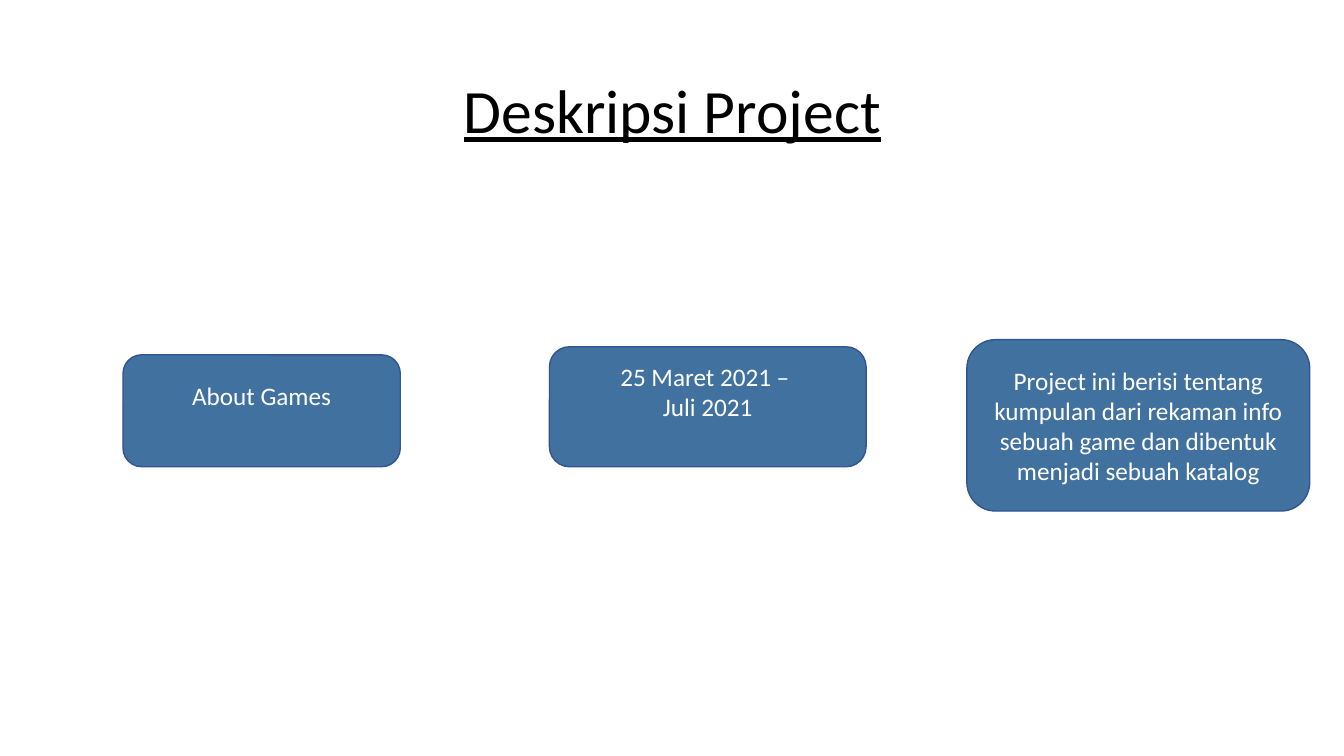
from pptx import Presentation
from pptx.dml.color import RGBColor
from pptx.enum.shapes import MSO_SHAPE as SHAPE
from pptx.enum.text import MSO_ANCHOR as ANCHOR, PP_ALIGN as ALIGN
from pptx.util import Pt

PX = 9144
FONT = "Calibri"
BLACK = RGBColor(0x00, 0x00, 0x00)
WHITE = RGBColor(0xFF, 0xFF, 0xFF)
BLUE = RGBColor(0x41, 0x72, 0x9F)
OUTLINE = RGBColor(0x32, 0x54, 0x91)
INSET = 5
LINE_HEIGHT = 30

CARDS = [
    ((122, 352, 275, 111), ["About Games"], LINE_HEIGHT),
    ((545, 344, 314, 119), ["25 Maret 2021 – ", "Juli 2021"], LINE_HEIGHT),
    ((959, 337, 340, 170), ["Project ini berisi tentang kumpulan dari rekaman info "
                            "sebuah game dan dibentuk menjadi sebuah katalog"], 0),
]


def emu(box):
    return [v * PX for v in box]


def write_lines(tf, lines, size, color):
    tf.word_wrap = True
    tf.vertical_anchor = ANCHOR.MIDDLE
    for i, line in enumerate(lines):
        p = tf.add_paragraph() if i else tf.paragraphs[0]
        p.text = line
        p.alignment = ALIGN.CENTER
        p.font.name = FONT
        p.font.size = Pt(size)
        p.font.color.rgb = color


def add_title(s, box, text):
    tf = s.shapes.add_textbox(*emu(box)).text_frame
    write_lines(tf, [text], 44, BLACK)
    p = tf.paragraphs[0]
    p.line_spacing = 0.9
    p.font.underline = True


def add_card(s, box, lines, space_below):
    sp = s.shapes.add_shape(SHAPE.ROUNDED_RECTANGLE, *emu(box))
    sp.shadow.inherit = False
    sp.fill.solid()
    sp.fill.fore_color.rgb = BLUE
    sp.line.color.rgb = OUTLINE
    sp.line.width = Pt(1)
    tf = sp.text_frame
    tf.margin_bottom = (INSET + space_below) * PX
    write_lines(tf, lines, 18, WHITE)


def main():
    prs = Presentation()
    prs.slide_width, prs.slide_height = 1333 * PX, 750 * PX
    s = prs.slides.add_slide(prs.slide_layouts[6])
    add_title(s, (92, 40, 1150, 145), "Deskripsi Project")
    for box, lines, space_below in CARDS:
        add_card(s, box, lines, space_below)
    prs.save("out.pptx")


if __name__ == "__main__":
    main()
